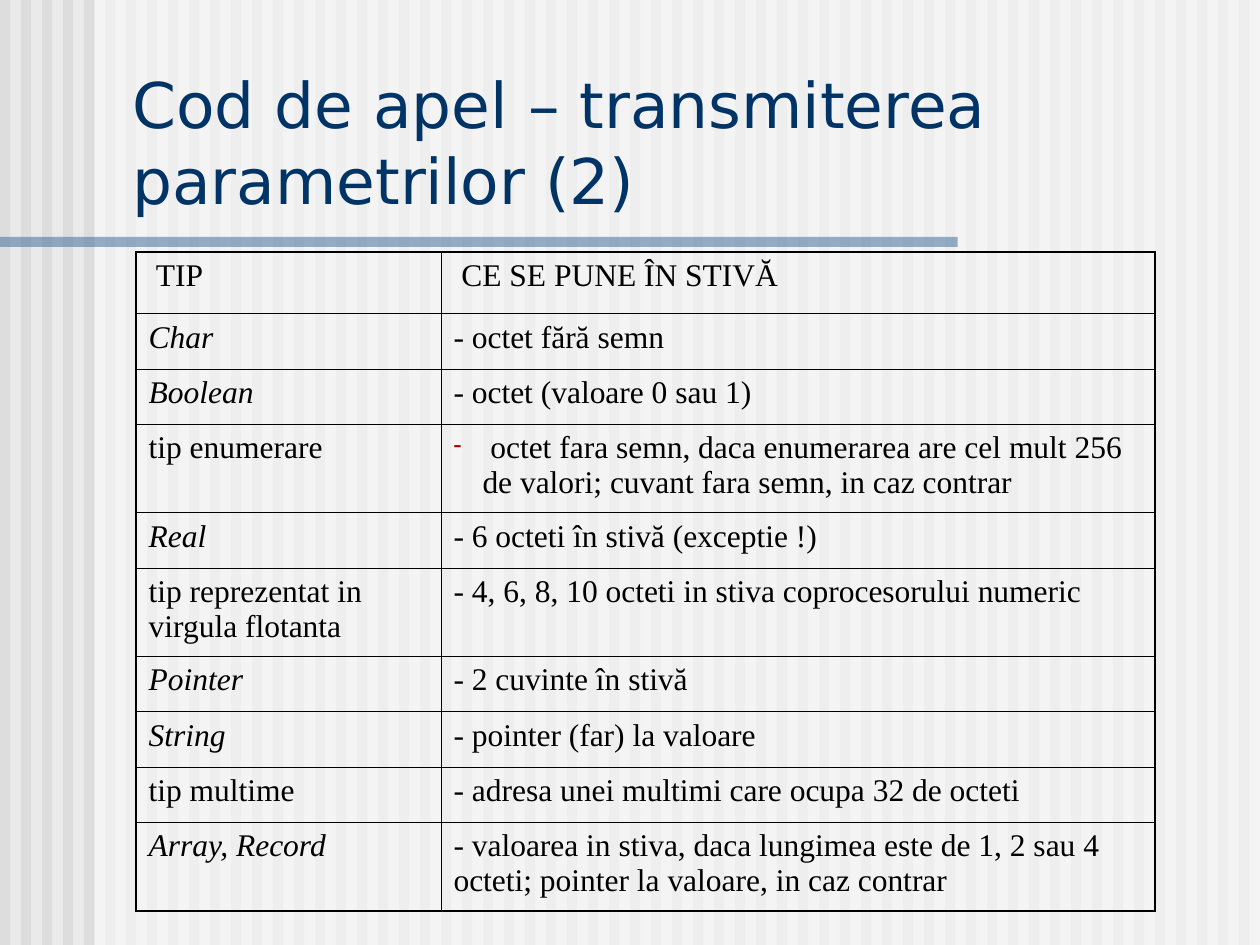
from typing import NamedTuple

from lxml.etree import SubElement as Sub
from pptx import Presentation as Deck
from pptx.dml.color import RGBColor as Rgb
from pptx.enum.shapes import MSO_SHAPE as Kind
from pptx.enum.text import MSO_ANCHOR as Anchor, PP_ALIGN as Align
from pptx.oxml.ns import qn
from pptx.util import Inches, Pt

GROUND = Rgb(0xEA, 0xEA, 0xEA)
STRIPE = Rgb(0xDD, 0xDD, 0xDD)
WHITE = Rgb(0xFF, 0xFF, 0xFF)
STEEL = Rgb(0x33, 0x66, 0x99)
NAVY = Rgb(0x00, 0x33, 0x66)
BLACK = Rgb(0x00, 0x00, 0x00)
RED = Rgb(0x9A, 0x00, 0x00)

COUNT = 60
THICK, THIN = 1.08, 0.45
WIDTHS = (2.42, 5.67)


class Box(NamedTuple):
    left: float
    top: float
    width: float
    height: float
    color: Rgb
    alpha: int = 100


class Row(NamedTuple):
    name: str
    note: str
    height: float = 0.44
    slant: bool = False
    dash: bool = False


ROWS = [
    Row(" TIP", " CE SE PUNE ÎN STIVĂ", 0.49),
    Row("Char", "- octet fără semn", slant=True),
    Row("Boolean", "- octet (valoare 0 sau 1)", slant=True),
    Row("tip enumerare", " octet fara semn, daca enumerarea are cel mult 256 de valori; "
        "cuvant fara semn, in caz contrar", 0.7, dash=True),
    Row("Real", "- 6 octeti în stivă (exceptie !)", slant=True),
    Row("tip reprezentat in virgula flotanta",
        "- 4, 6, 8, 10 octeti in stiva coprocesorului numeric", 0.7),
    Row("Pointer", "- 2 cuvinte în stivă", slant=True),
    Row("String", "- pointer (far) la valoare", slant=True),
    Row("tip multime", "- adresa unei multimi care ocupa 32 de octeti"),
    Row("Array, Record", "- valoarea in stiva, daca lungimea este de 1, 2 sau 4 octeti; "
        "pointer la valoare, in caz contrar", 0.7, slant=True),
]


def draw_box(slide, box: Box) -> None:
    shape = slide.shapes.add_shape(Kind.RECTANGLE, *map(Inches, box[:4]))
    shape.shadow.inherit = False
    shape.line.fill.background()
    shape.fill.solid()
    shape.fill.fore_color.rgb = box.color
    if box.alpha < 100:
        color = shape.fill._xPr.find(qn("a:solidFill"))[0]
        Sub(color, qn("a:alpha"), val=str(box.alpha * 1000))


def style_run(run, font: str, size: float, color: Rgb, slant: bool = False) -> None:
    run.font.name = font
    run.font.size = Pt(size)
    run.font.color.rgb = color
    run.font.italic = slant


def draw_edge(cell, side: str, width: float) -> None:
    line = Sub(cell._tc.get_or_add_tcPr(), qn(f"a:ln{side}"), w=str(Pt(width)))
    fill = Sub(line, qn("a:solidFill"))
    Sub(fill, qn("a:srgbClr"), val=str(BLACK))


def add_dash(para) -> None:
    props = para._p.get_or_add_pPr()
    props.set("marL", str(Inches(0.23)))
    props.set("indent", str(-Inches(0.23)))
    Sub(Sub(props, qn("a:buClr")), qn("a:srgbClr"), val=str(RED))
    Sub(props, qn("a:buSzPct"), val="75000")
    Sub(props, qn("a:buChar"), char="-")


def fill_cell(cell, text: str, slant: bool, dash: bool) -> None:
    cell.text_frame.text = text
    para = cell.text_frame.paragraphs[0]
    para.space_before = Pt(4.5)
    if dash:
        add_dash(para)
    style_run(para.runs[0], "Times New Roman", 18, BLACK, slant)
    cell.fill.background()


def draw_table(slide) -> None:
    high = sum(row.height for row in ROWS)
    frame = slide.shapes.add_table(len(ROWS), len(WIDTHS), Inches(1.08), Inches(2),
                                   Inches(sum(WIDTHS)), Inches(high))
    table = frame.table
    table.first_row = table.horz_banding = False
    for col, width in zip(table.columns, WIDTHS):
        col.width = Inches(width)
    for r, row in enumerate(ROWS):
        table.rows[r].height = Inches(row.height)
        for c, text in enumerate((row.name, row.note)):
            cell = table.cell(r, c)
            outer = {"L": c == 0, "R": c == len(WIDTHS) - 1,
                     "T": r == 0, "B": r == len(ROWS) - 1}
            for side, edge in outer.items():
                draw_edge(cell, side, THICK if edge else THIN)
            fill_cell(cell, text, row.slant and c == 0, row.dash and c == 1)


def draw_title(slide) -> None:
    title = slide.shapes.title
    title.left, title.top = Inches(0.95), Inches(0.47)
    title.width, title.height = Inches(8.93), Inches(1.3)
    frame = title.text_frame
    frame.text = "Cod de apel – transmiterea parametrilor (2)"
    frame.word_wrap = True
    frame.vertical_anchor = Anchor.BOTTOM
    para = frame.paragraphs[0]
    para.alignment = Align.LEFT
    style_run(para.runs[0], "DejaVu Sans", 36, NAVY)
    slide.shapes._spTree.append(title._element)


def main() -> None:
    deck = Deck()
    deck.slide_width, deck.slide_height = Inches(10), Inches(7.5)
    slide = deck.slides.add_slide(deck.slide_layouts[5])
    slide.background.fill.solid()
    slide.background.fill.fore_color.rgb = GROUND
    for i in range(COUNT):
        draw_box(slide, Box(i * 10 / COUNT, 0, 0.08, 7.5, STRIPE))
    draw_box(slide, Box(0.75, 0, 9.25, 7.5, WHITE, 50))
    draw_box(slide, Box(0, 1.88, 7.6, 0.08, STEEL, 50))
    draw_title(slide)
    draw_table(slide)
    deck.save("out.pptx")


if __name__ == "__main__":
    main()
